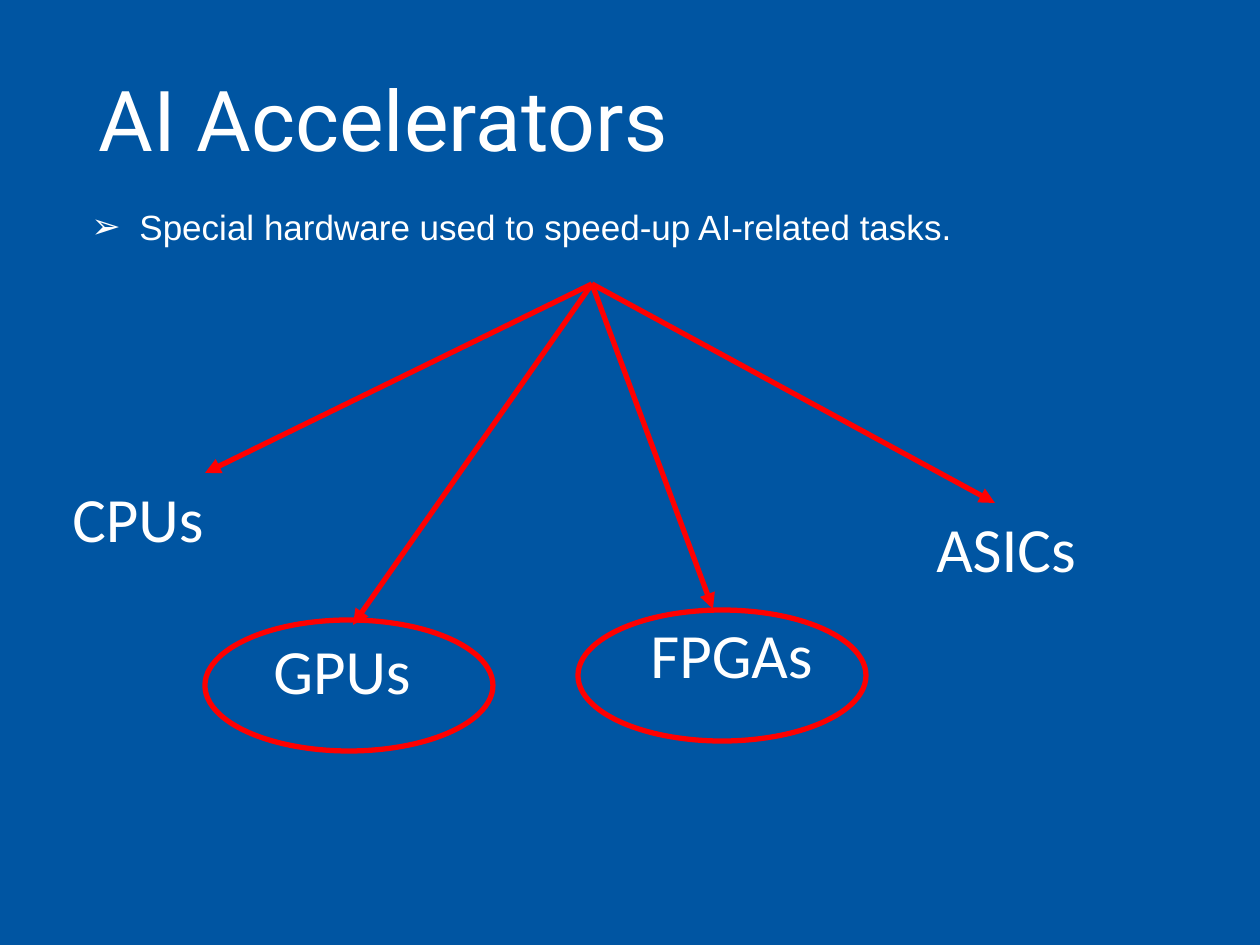
from lxml import etree
from pptx import Presentation, util as u
from pptx.dml.color import RGBColor
from pptx.enum import shapes, text
from pptx.oxml.ns import qn

PX = 914400 // 126
COLORS = {"background": "0055A2", "text": "FFFFFF", "accent": "FF0000"}

TITLE = ("AI Accelerators", (86, 63, 1086, 122))
BODY = ("Special hardware used to speed-up AI-related tasks.", (79, 204, 1086, 583))
BULLET, INDENT = "➢", 48

ORIGIN = (592, 284)
LABEL_SIZE = (204, 90)
# name, label left, arrow tip x, shared top
ACCELERATORS = [
    ("CPUs", 60, 205, 473),
    ("GPUs", 261, 353, 625),
    ("FPGAs", 638, 713, 609),
    ("ASICs", 924, 995, 503),
]
HIGHLIGHTS = [(205, 620), (578, 610)]
HIGHLIGHT_SIZE = (288, 131)

TITLE_FONT = {"name": "Roboto", "size": u.Pt(48)}
BODY_FONT = {"name": "Arial", "size": u.Pt(20)}
LABEL_FONT = {"name": "Calibri", "size": u.Pt(36)}


def px(*lengths):
    return [u.Emu(length * PX) for length in lengths]


def color(name):
    return RGBColor.from_string(COLORS[name])


def set_line(shape):
    shape.line.color.rgb = color("accent")
    shape.line.width = u.Pt(3)


def add_text(slide, words, box, font, bullet=None, **frame_format):
    frame = slide.shapes.add_textbox(*px(*box)).text_frame
    for name, value in {"word_wrap": True, **frame_format}.items():
        setattr(frame, name, value)
    paragraph = frame.paragraphs[0]
    if bullet:
        properties = paragraph._p.get_or_add_pPr()
        properties.set("marL", str(INDENT * PX))
        properties.set("indent", str(-INDENT * PX))
        etree.SubElement(properties, qn("a:buFont"), typeface="Arial")
        etree.SubElement(properties, qn("a:buChar"), char=bullet)
    run = paragraph.add_run()
    run.text = words
    for name, value in font.items():
        setattr(run.font, name, value)
    run.font.color.rgb = color("text")
    return paragraph


def add_arrow(slide, start, end):
    arrow = slide.shapes.add_connector(
        shapes.MSO_CONNECTOR.STRAIGHT, *px(*start, *end))
    set_line(arrow)
    etree.SubElement(arrow.line._get_or_add_ln(), qn("a:tailEnd"), type="triangle")
    etree.SubElement(arrow._element.spPr, qn("a:effectLst"))


def add_highlight(slide, corner):
    ellipse = slide.shapes.add_shape(
        shapes.MSO_SHAPE.OVAL, *px(*corner, *HIGHLIGHT_SIZE))
    ellipse.shadow.inherit = False
    ellipse.fill.background()
    set_line(ellipse)


def main():
    presentation = Presentation()
    presentation.slide_width, presentation.slide_height = px(1260, 945)
    slide = presentation.slides.add_slide(presentation.slide_layouts[6])
    slide.background.fill.solid()
    slide.background.fill.fore_color.rgb = color("background")

    title = add_text(slide, *TITLE, TITLE_FONT,
                     vertical_anchor=text.MSO_ANCHOR.MIDDLE)
    body = add_text(slide, *BODY, BODY_FONT, BULLET)
    for paragraph in (title, body):
        paragraph.line_spacing = 0.9

    for name, left, tip, top in ACCELERATORS:
        add_arrow(slide, ORIGIN, (tip, top))
        add_text(slide, name, (left, top, *LABEL_SIZE), LABEL_FONT,
                 auto_size=text.MSO_AUTO_SIZE.SHAPE_TO_FIT_TEXT)
    for corner in HIGHLIGHTS:
        add_highlight(slide, corner)

    presentation.save("out.pptx")


if __name__ == "__main__":
    main()
